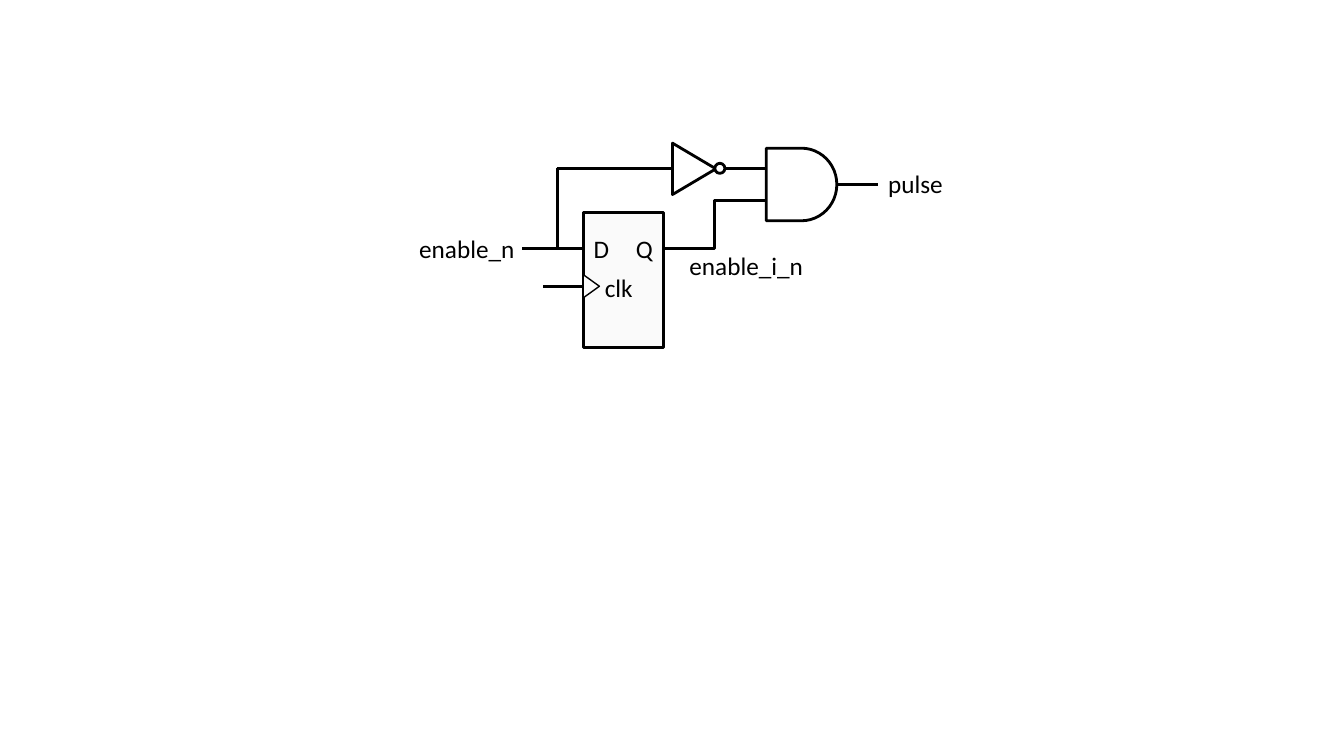
from lxml.etree import SubElement
from pptx import Presentation
from pptx.dml.color import RGBColor
from pptx.enum.shapes import MSO_CONNECTOR, MSO_SHAPE
from pptx.enum.text import MSO_AUTO_SIZE
from pptx.oxml.ns import qn
from pptx.util import Inches, Pt

THEME = {
    "ink": RGBColor(0, 0, 0),
    "paper": RGBColor(255, 255, 255),
    "block": RGBColor(0xFA, 0xFA, 0xFA),
    "font": "Calibri",
    "size": Pt(18),
    "thick": Pt(2),
    "branch": Pt(2.25),
    "thin": Pt(1),
}

presentation = Presentation()
presentation.slide_width = Inches(13.33)
presentation.slide_height = Inches(7.5)
slide = presentation.slides.add_slide(presentation.slide_layouts[6])


def add_label(text, left, top, width, height=0.4, wrap=False):
    box = slide.shapes.add_textbox(Inches(left), Inches(top), Inches(width), Inches(height))
    frame = box.text_frame
    frame.word_wrap = wrap
    frame.auto_size = MSO_AUTO_SIZE.SHAPE_TO_FIT_TEXT
    run = frame.paragraphs[0].add_run()
    run.text = text
    run.font.name = THEME["font"]
    run.font.size = THEME["size"]
    run.font.color.rgb = THEME["ink"]


parts = {}
for part, kind, left, top, width, height, rotation, fill, weight in [
    ("flip-flop", MSO_SHAPE.RECTANGLE, 5.79, 2.11, 0.79, 1.34, 0, "block", "thick"),
    ("clock mark", MSO_SHAPE.ISOSCELES_TRIANGLE, 5.75, 2.76, 0.23, 0.16, 90, "block", "thin"),
    ("and gate", MSO_SHAPE.FLOWCHART_DELAY, 7.6, 1.47, 0.7, 0.72, 0, "paper", "thick"),
    ("inverter", MSO_SHAPE.ISOSCELES_TRIANGLE, 6.63, 1.46, 0.51, 0.43, 90, "paper", "thick"),
    ("bubble", MSO_SHAPE.OVAL, 7.09, 1.62, 0.1, 0.1, 0, "paper", "thick"),
]:
    shape = slide.shapes.add_shape(kind, Inches(left), Inches(top), Inches(width), Inches(height))
    shape.rotation = rotation
    shape.shadow.inherit = False
    shape.fill.solid()
    shape.fill.fore_color.rgb = THEME[fill]
    shape.line.color.rgb = THEME["ink"]
    shape.line.width = THEME[weight]
    parts[part] = shape

wires = {}
for signal, kind, start_x, start_y, end_x, end_y, weight in [
    ("enable", MSO_CONNECTOR.STRAIGHT, 5.18, 2.465, 5.79, 2.465, "thick"),
    ("clock", MSO_CONNECTOR.STRAIGHT, 5.39, 2.84, 5.79, 2.84, "thick"),
    ("branch", MSO_CONNECTOR.STRAIGHT, 5.53, 1.67, 5.53, 2.46, "branch"),
    ("inverter input", MSO_CONNECTOR.STRAIGHT, 5.52, 1.67, 6.67, 1.67, "thick"),
    ("inverter output", MSO_CONNECTOR.STRAIGHT, 7.19, 1.67, 7.6, 1.67, "thick"),
    ("delayed enable", MSO_CONNECTOR.ELBOW, 6.58, 2.465, 7.6, 1.99, "thick"),
    ("pulse", MSO_CONNECTOR.STRAIGHT, 8.3, 1.83, 8.71, 1.83, "thick"),
]:
    wire = slide.shapes.add_connector(
        kind, Inches(start_x), Inches(start_y), Inches(end_x), Inches(end_y)
    )
    wire.line.color.rgb = THEME["ink"]
    wire.line.width = THEME[weight]
    SubElement(wire._element.spPr, qn("a:effectLst"))
    wires[signal] = wire

wires["pulse"].begin_connect(parts["and gate"], 3)

add_label("D", 5.79, 2.27, 0.36, wrap=True)
add_label("Q", 6.21, 2.27, 0.37, wrap=True)
add_label("clk", 5.9, 2.65, 0.48, wrap=True)
add_label("enable_n", 4.06, 2.27, 1.16)
add_label("enable_i_n", 6.74, 2.43, 1.34)
add_label("pulse", 8.71, 1.62, 0.75)

presentation.save("out.pptx")
